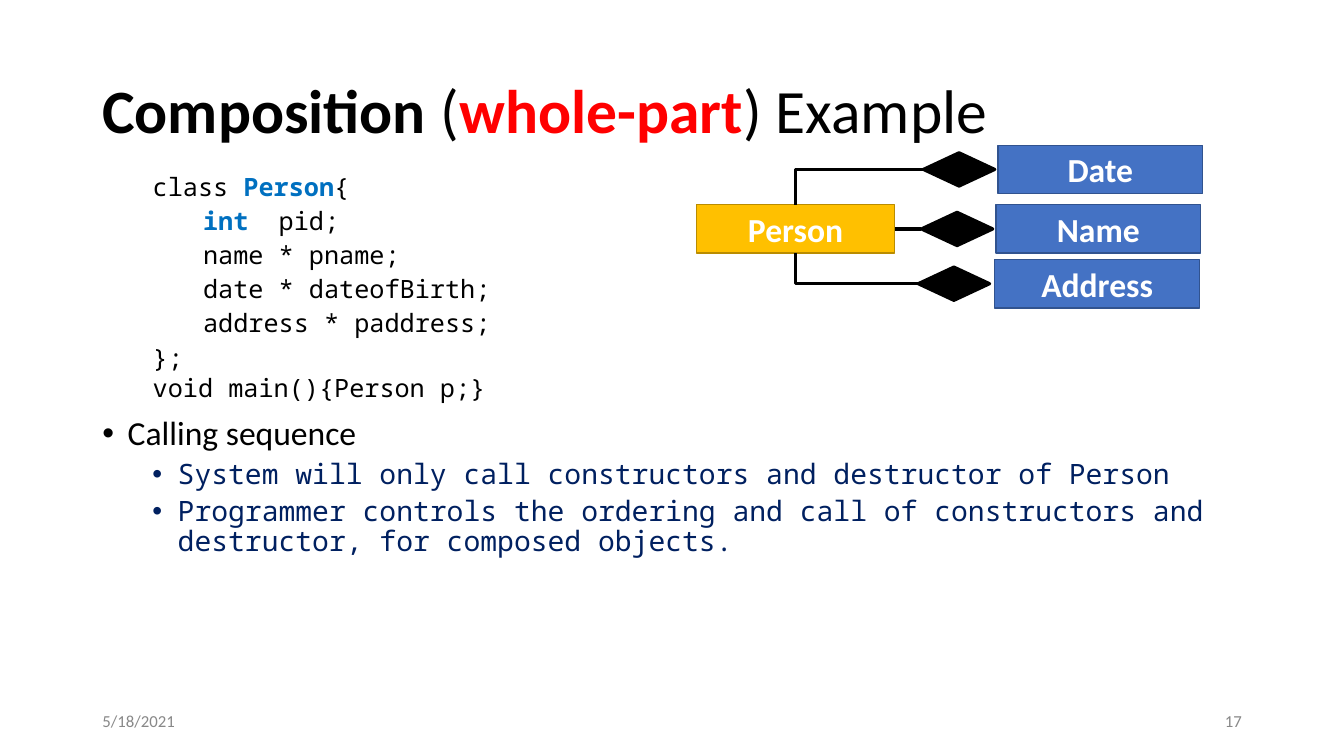
from dataclasses import dataclass

from lxml import etree
from pptx import Presentation
from pptx.dml.color import RGBColor
from pptx.enum import shapes, text
from pptx.oxml.ns import qn
from pptx.util import Cm, Pt

HUES = {"black": "000000", "white": "FFFFFF", "red": "FF0000", "blue": "0070C0",
        "navy": "002060", "gray": "888888", "gold": "FFC000", "bronze": "BA8C00",
        "part": "4472C4", "edge": "31538F"}
SANS, MONO = "Calibri", "Noto Sans Mono"


@dataclass
class Run:
    words: str
    size: float
    face: str = SANS
    hue: str = "black"
    bold: bool = False


@dataclass
class Para:
    runs: list[Run]
    left: float = 0
    hang: float = 0
    level: int = 0
    space: float = 0
    lines: float = 0.9
    align: text.PP_ALIGN = text.PP_ALIGN.LEFT
    mark: str = ""


@dataclass
class Part:
    name: str
    left: float
    top: float
    gem: float


def tint(hue: str) -> RGBColor:
    return RGBColor.from_string(HUES[hue])


def write(frame, paras: list[Para], anchor=text.MSO_ANCHOR.MIDDLE) -> None:
    frame.word_wrap = True
    frame.vertical_anchor = anchor
    for at, para in enumerate(paras):
        line = frame.paragraphs[0] if at == 0 else frame.add_paragraph()
        props = line._p.get_or_add_pPr()
        props.set("marL", str(Cm(para.left)))
        props.set("indent", str(Cm(-para.hang)))
        if para.mark:
            color = etree.SubElement(props, qn("a:buClr"))
            etree.SubElement(color, qn("a:srgbClr"), val=HUES[para.mark])
            etree.SubElement(props, qn("a:buFont"), typeface="Arial")
            etree.SubElement(props, qn("a:buChar"), char="•")
        form = {"level": para.level, "alignment": para.align,
                "line_spacing": para.lines, "space_before": Pt(para.space)}
        for key, value in form.items():
            setattr(line, key, value)
        for run in para.runs:
            piece = line.add_run()
            piece.text = run.words
            form = {"size": Pt(run.size), "name": run.face, "bold": run.bold}
            for key, value in form.items():
                setattr(piece.font, key, value)
            piece.font.color.rgb = tint(run.hue)


def label(slide, place: tuple, paras: list[Para], anchor=text.MSO_ANCHOR.MIDDLE) -> None:
    box = slide.shapes.add_textbox(*map(Cm, place))
    write(box.text_frame, paras, anchor)


def block(slide, kind, place: tuple, fill: str, edge: str, width: float):
    shape = slide.shapes.add_shape(kind, *map(Cm, place))
    shape.shadow.inherit = False
    shape.fill.solid()
    shape.fill.fore_color.rgb = tint(fill)
    shape.line.color.rgb = tint(edge)
    shape.line.width = Pt(width)
    return shape


def card(slide, name: str, place: tuple, fill: str, edge: str):
    """Draw a named class box."""
    shape = block(slide, shapes.MSO_SHAPE.RECTANGLE, place, fill, edge, 1)
    run = Run(name, 24, hue="white", bold=True)
    write(shape.text_frame, [Para([run], lines=1, align=text.PP_ALIGN.CENTER)])
    return shape


def link(slide, kind, ends: tuple):
    line = slide.shapes.add_connector(kind, *map(Cm, ends))
    line.line.color.rgb = tint("black")
    line.line.width = Pt(2.25)
    etree.SubElement(line._element.spPr, qn("a:effectLst"))
    return line


def elbow(slide, x: float, y: float, end: float, rise: float) -> None:
    """Go up or down from (x, y) to the height rise, then right to end.

    The one-bend connector is laid out upright and turned by 270 degrees.
    """
    mid, half = (x + end) / 2, (y - rise) / 2
    center, reach = (y + rise) / 2, (end - x) / 2
    line = link(slide, shapes.MSO_CONNECTOR.ELBOW,
                (mid - half, center - reach, mid + half, center + reach))
    props = line._element.spPr
    props.find(qn("a:xfrm")).set("rot", str(270 * 60000))
    props.find(qn("a:prstGeom")).set("prst", "bentConnector2")


def code(*runs: Run, space: float = 5, lines: float = 0.9) -> Para:
    return Para(list(runs), left=1.27, level=1, space=space, lines=lines)


def mono(words: str, hue: str = "black", bold: bool = False) -> Run:
    return Run(words, 18, MONO, hue, bold)


def note(words: str) -> Para:
    return Para([Run(words, 20, MONO, "navy")], 1.9, 0.64, 1, 5, mark="navy")


def graph(slide) -> None:
    """Draw Person and the parts that it is composed of."""
    x, y, wide, high = 17.55, 5.16, 5.0, 1.22
    part_wide, gem_wide, gem_high = 5.16, 1.8, 0.84
    whole = card(slide, "Person", (x, y, wide, high), "gold", "bronze")
    parts = [Part("Name", 25.1, y, 23.22), Part("Date", 25.15, 3.66, 23.27),
             Part("Address", 25.07, 6.54, 23.14)]
    for part in parts:
        card(slide, part.name, (part.left, part.top, part_wide, high), "part", "edge")
        mid = part.top + high / 2
        gem = block(slide, shapes.MSO_SHAPE.FLOWCHART_DECISION,
                    (part.gem, mid - gem_high / 2, gem_wide, gem_high),
                    "black", "black", 2.25)
        if part.top == y:
            line = link(slide, shapes.MSO_CONNECTOR.STRAIGHT,
                        (x + wide, mid, part.gem, mid))
            line.begin_connect(whole, 3)
            line.end_connect(gem, 1)
        else:
            side = y if part.top < y else y + high
            elbow(slide, x + wide / 2, side, part.gem, mid)


def main() -> None:
    deck = Presentation()
    deck.slide_width, deck.slide_height = Cm(33.87), Cm(19.05)
    slide = deck.slides.add_slide(deck.slide_layouts[6])
    label(slide, (2.33, 1.02, 29.21, 3.68), [Para([
        Run("Composition", 44, bold=True), Run(" (", 44),
        Run("whole-part", 44, hue="red", bold=True), Run(") Example", 44)])])
    feet = [("5/18/2021", 2.33, text.PP_ALIGN.LEFT), ("17", 23.93, text.PP_ALIGN.RIGHT)]
    for words, left, align in feet:
        label(slide, (left, 17.65, 7.62, 1.02),
              [Para([Run(words, 12, hue="gray")], lines=1, align=align)])
    graph(slide)
    fields = ["\tname * pname;", "\tdate * dateofBirth;", "\taddress * paddress;", "};"]
    label(slide, (2.33, 4.27, 29.21, 12.1), [
        code(mono("class "), mono("Person", "blue", True), mono("{"), space=0),
        code(mono("\t"), mono("int", "blue", True), mono("  pid;")),
        *(code(mono(field)) for field in fields),
        code(mono("void main(){Person p;}"), space=0, lines=1),
        Para([Run("Calling sequence", 24)], 0.64, 0.64, space=10, mark="black"),
        note("System will only call constructors and destructor of Person"),
        note("Programmer controls the ordering and call of constructors and "
             "destructor, for composed objects."),
    ], text.MSO_ANCHOR.TOP)
    deck.save("out.pptx")


if __name__ == "__main__":
    main()
